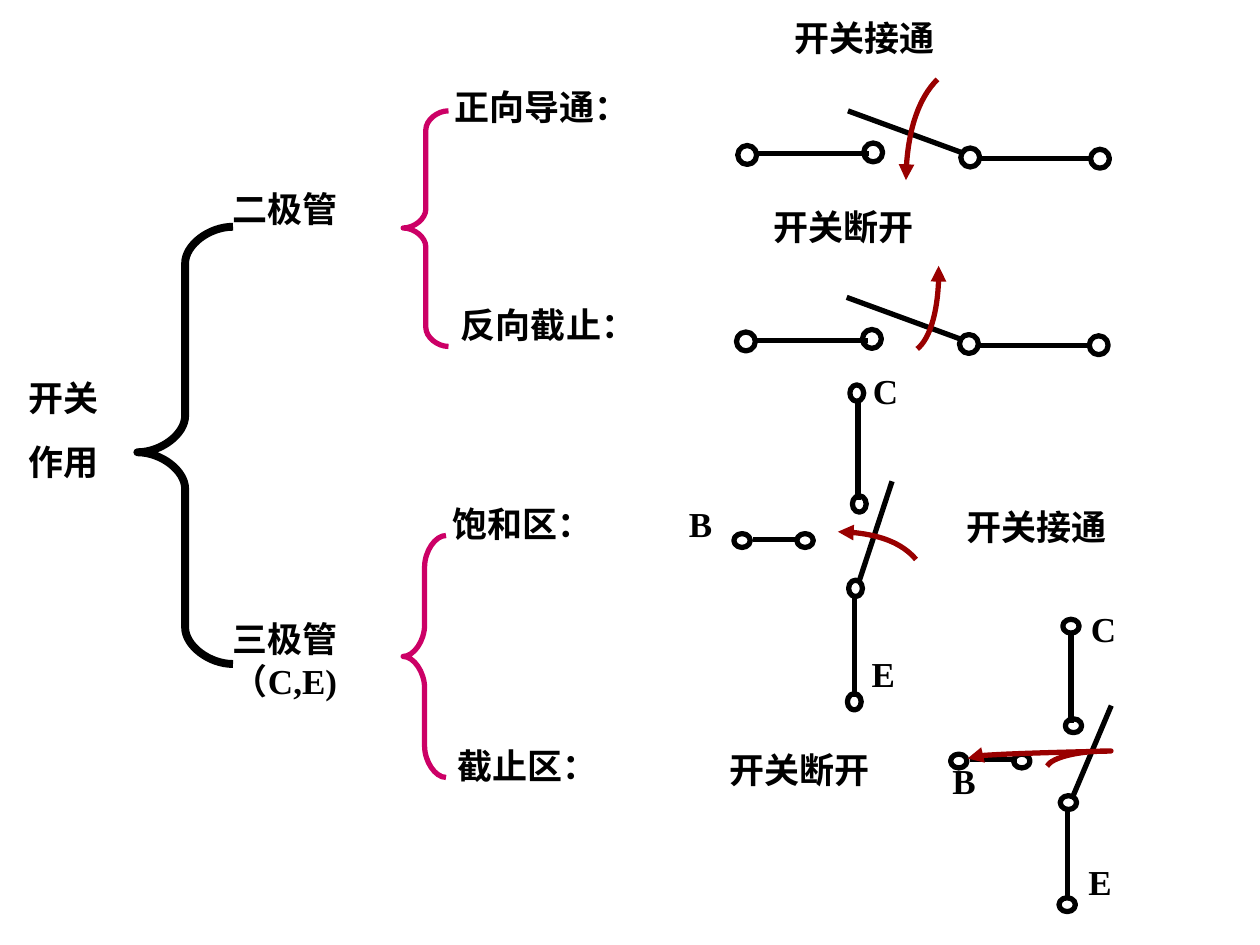
from pptx import Presentation
from pptx.util import Inches, Pt
from pptx.dml.color import RGBColor
from pptx.enum import shapes as kinds
from pptx.oxml import ns, xmlchemy

THEME = {
    "font": "Times New Roman", "size": 20, "gap": 12.5,
    "ink": "000000", "brace": "CC0066", "swing": "990000",
    "line": 3, "bold": 4.5,
}

# Labels: lines, left, top, width, height
LABELS = [
    (["开关", "作用"], 0.13, 2.94, 1.17, 0.94),
    (["二极管"], 1.75, 1.44, 1.75, 0.44),
    (["三极管（C,E)"], 1.75, 4.85, 1.75, 0.77),
    (["正向导通："], 3.51, 0.63, 2.5, 0.44),
    (["反向截止："], 3.56, 2.36, 2.56, 0.44),
    (["饱和区："], 3.49, 3.94, 2.59, 0.44),
    (["截止区："], 3.53, 5.86, 2.6, 0.44),
    (["开关接通"], 6.21, 0.08, 2.23, 0.44),
    (["开关断开"], 6.04, 1.58, 2.42, 0.44),
    (["开关接通"], 7.57, 3.96, 2.27, 0.44),
    (["开关断开"], 5.69, 5.89, 2.21, 0.44),
    (["C"], 6.83, 2.88, 0.84, 0.44),
    (["E"], 6.82, 5.13, 0.48, 0.44),
    (["B"], 5.37, 3.94, 0.76, 0.44),
    (["C"], 8.56, 4.77, 0.66, 0.44),
    (["E"], 8.54, 6.78, 0.48, 0.44),
    (["B"], 7.46, 5.98, 0.76, 0.44),
]

# Braces: left, top, right, bottom, tip height, bend height, colour, width
BRACES = [
    (1.09, 1.8, 1.85, 5.27, 3.59, 0.29, "ink", "bold"),
    (3.2, 0.88, 3.56, 2.75, 1.81, 0.15, "brace", "line"),
    (3.2, 4.25, 3.54, 6.17, 5.21, 0.25, "brace", "line"),
]

# Diode switch, drawn twice with an offset
WIRES = [(6.02, 1.22, 6.9, 1.22), (7.76, 1.26, 8.67, 1.26),
         (6.73, 0.88, 7.63, 1.21)]
NODES = [(6.93, 1.21), (5.93, 1.23), (8.73, 1.26), (7.7, 1.25)]
OFFSETS = [(0, 0), (-0.01, 1.48)]

# Transistor switches: wires, upright nodes, their size, base nodes
TRANSISTORS = [
    {"wires": [(6.81, 3.2, 6.81, 3.97), (6.78, 4.72, 6.78, 5.53),
               (7.08, 3.82, 6.82, 4.61), (5.98, 4.28, 6.34, 4.28)],
     "nodes": [(6.82, 4), (6.8, 3.12), (6.78, 5.57), (6.79, 4.67)],
     "size": (0.11, 0.13), "base": [(5.89, 4.29), (6.39, 4.29)]},
    {"wires": [(8.5, 5.04, 8.5, 5.74), (8.47, 6.42, 8.47, 7.14),
               (8.82, 5.6, 8.52, 6.31), (7.7, 6.03, 8.07, 6.03)],
     "nodes": [(8.52, 5.76), (8.5, 4.97), (8.47, 7.18), (8.48, 6.37)],
     "size": (0.13, 0.11), "base": [(7.61, 6.04), (8.11, 6.04)]},
]

# Swing arrows: start, then steps of three curve points
SWINGS = [
    ((7.44, 0.63), [[(7.29, 0.78), (7.19, 1.09), (7.19, 1.43)]]),
    ((7.28, 2.77), [[(7.38, 2.69), (7.45, 2.45), (7.45, 2.17)],
                    [(7.45, 2.15), (7.45, 2.13), (7.45, 2.11)]]),
    ((7.27, 4.44), [[(7.16, 4.31), (6.92, 4.22), (6.65, 4.22)]]),
    ((8.31, 6.08), [[(8.35, 6.01), (8.56, 5.96), (8.8, 5.96)],
                    [(8.96, 5.96), (7.58, 5.98), (7.68, 6.02)]]),
]

deck = Presentation()
deck.slide_width, deck.slide_height = Inches(10), Inches(7.5)
parts = deck.slides.add_slide(deck.slide_layouts[6]).shapes


def tone(name):
    return RGBColor.from_string(THEME[name])


def stroke(item, color="ink", width="line"):
    item.line.color.rgb = tone(color)
    item.line.width = Pt(THEME[width])


def node(x, y, w, h):
    dot = parts.add_shape(kinds.MSO_SHAPE.OVAL, Inches(x - w / 2),
                          Inches(y - h / 2), Inches(w), Inches(h))
    dot.fill.background()
    dot.shadow.inherit = False
    stroke(dot)


def wire(*ends):
    bar = parts.add_connector(kinds.MSO_CONNECTOR.STRAIGHT, *map(Inches, ends))
    stroke(bar)
    bar._element.spPr.append(xmlchemy.OxmlElement("a:effectLst"))


def curve(start, steps, color, width="line"):
    """Draw steps of one point as lines and of three points as curves."""
    unit = 1000
    pen = parts.build_freeform(start[0] * unit, start[1] * unit,
                               scale=Inches(1) / unit)
    pen.add_line_segments([(x * unit, y * unit) for step in steps
                           for x, y in step], close=False)
    shape = pen.convert_to_shape()
    segs = iter(list(shape._element.iter(ns.qn("a:lnTo"))))
    for step in steps:
        group = [next(segs) for _ in step]
        if len(group) == 3:
            bend = xmlchemy.OxmlElement("a:cubicBezTo")
            group[0].addprevious(bend)
            for seg in group:
                bend.append(seg[0])
                seg.getparent().remove(seg)
    shape.fill.background()
    shape.shadow.inherit = False
    stroke(shape, color, width)
    return shape


def brace(left, top, right, low, tip, bend, color, width):
    mid = (left + right) / 2
    near, far = (left + mid) / 2, (mid + right) / 2
    half = bend / 2
    curve((right, top), [
        [(far, top), (mid, top + half), (mid, top + bend)],
        [(mid, tip - bend)],
        [(mid, tip - half), (near, tip), (left, tip)],
        [(near, tip), (mid, tip + half), (mid, tip + bend)],
        [(mid, low - bend)],
        [(mid, low - half), (far, low), (right, low)],
    ], color, width)


def label(lines, *place):
    frame = parts.add_textbox(*map(Inches, place)).text_frame
    frame.word_wrap = True
    frame.text = "\n".join(lines)
    for i, para in enumerate(frame.paragraphs):
        if i:
            para.space_before = Pt(THEME["gap"])
        font = para.font
        font.name, font.size, font.bold = THEME["font"], Pt(THEME["size"]), True
        font.color.rgb = tone("ink")


# Braces
for row in BRACES:
    brace(*row)

# Diode switches
for dx, dy in OFFSETS:
    for x1, y1, x2, y2 in WIRES:
        wire(x1 + dx, y1 + dy, x2 + dx, y2 + dy)
    for x, y in NODES:
        node(x + dx, y + dy, 0.15, 0.15)

# Transistor switches
for unit in TRANSISTORS:
    for ends in unit["wires"]:
        wire(*ends)
    for spot in unit["nodes"]:
        node(*spot, *unit["size"])
    for spot in unit["base"]:
        node(*spot, 0.13, 0.11)

# Swing arrows
for start, steps in SWINGS:
    arrow = curve(start, steps, "swing")
    head = xmlchemy.OxmlElement("a:tailEnd")
    head.set("type", "triangle")
    arrow.line._get_or_add_ln().append(head)

# Labels
for row in LABELS:
    label(*row)

deck.save("out.pptx")
